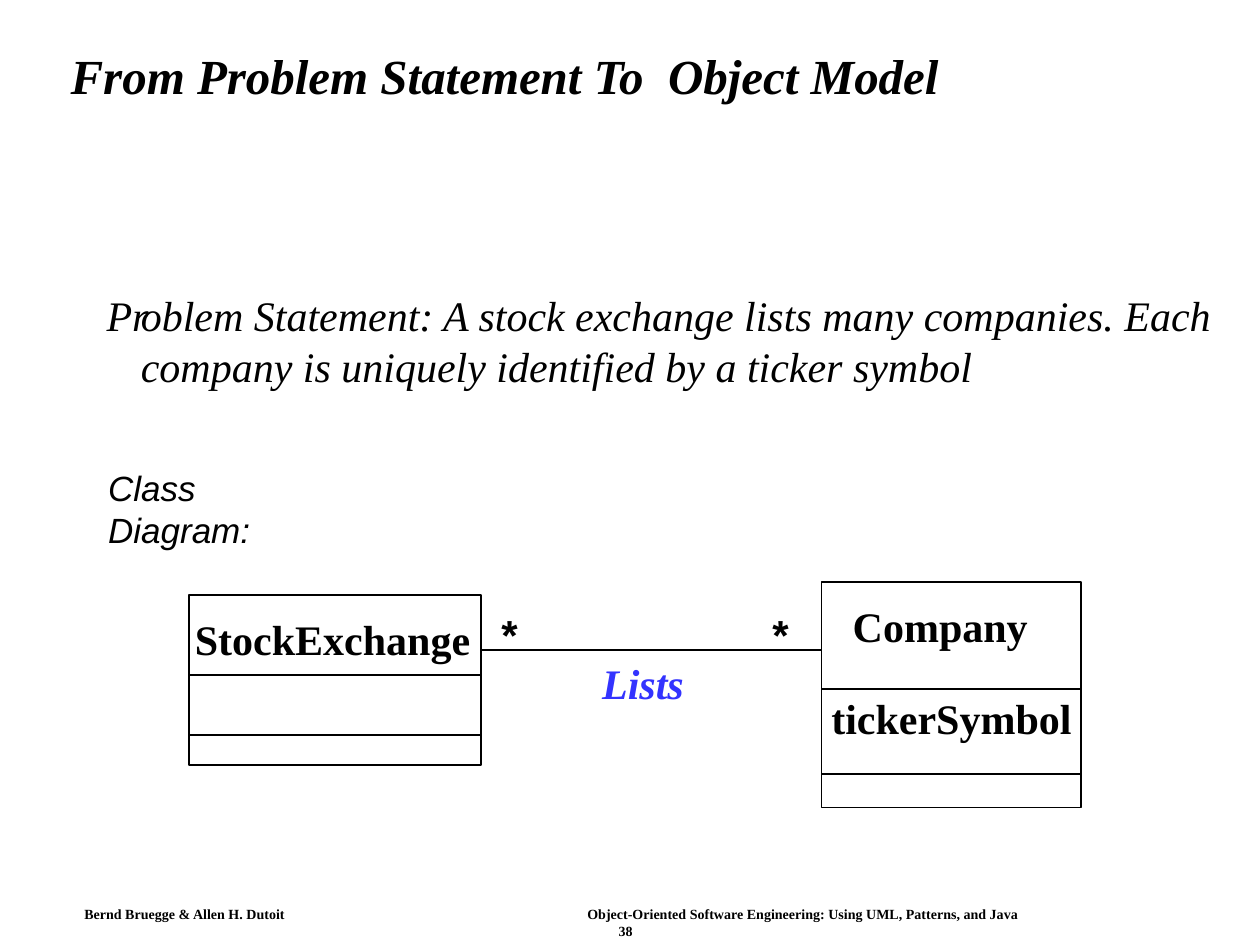
from lxml.etree import SubElement
from pptx import Presentation
from pptx.dml.color import RGBColor
from pptx.enum.shapes import MSO_CONNECTOR, MSO_SHAPE
from pptx.enum.text import MSO_ANCHOR, MSO_AUTO_SIZE, PP_ALIGN
from pptx.oxml.ns import qn
from pptx.util import Cm, Pt

COLORS = {"ink": "000000", "association": "3333FF"}
SERIF, SANS = "Times New Roman", "Arial"


def format_text(frame, color="ink", **font_format):
    for paragraph in frame.paragraphs:
        for run in paragraph.runs:
            run.font.color.rgb = RGBColor.from_string(COLORS[color])
            for name, value in font_format.items():
                setattr(run.font, name, value)


def add_line(slide, start_x, end_x, y):
    """Add a thin horizontal line without a shadow."""
    line = slide.shapes.add_connector(
        MSO_CONNECTOR.STRAIGHT, Cm(start_x), Cm(y), Cm(end_x), Cm(y))
    line.line.color.rgb = RGBColor.from_string(COLORS["ink"])
    line.line.width = Pt(1)
    SubElement(line._element.spPr, qn("a:effectLst"))


presentation = Presentation()
presentation.slide_width, presentation.slide_height = Cm(25.4), Cm(19.05)
slide = presentation.slides.add_slide(presentation.slide_layouts[5])

# Title
title = slide.shapes.title
title.left, title.top, title.width, title.height = Cm(1.17), Cm(0.61), Cm(22.66), Cm(1.96)
title_frame = title.text_frame
title_frame.text = "From Problem Statement To  Object Model"
title_frame.vertical_anchor = MSO_ANCHOR.MIDDLE
title_frame.auto_size = MSO_AUTO_SIZE.NONE
title_frame.paragraphs[0].alignment = PP_ALIGN.LEFT
title_frame.paragraphs[0].line_spacing = 0.9
format_text(title_frame, name=SERIF, size=Pt(28), bold=True, italic=True)

# Classes: left, top, width, height, compartment divider heights
classes = [
    (3.81, 11.99, 5.89, 3.43, (13.61, 14.81)),
    (16.56, 11.73, 5.23, 4.55, (13.89, 15.6)),
]
for left, top, width, height, dividers in classes:
    box = slide.shapes.add_shape(
        MSO_SHAPE.RECTANGLE, Cm(left), Cm(top), Cm(width), Cm(height))
    box.shadow.inherit = False
    box.fill.background()
    box.line.color.rgb = RGBColor.from_string(COLORS["ink"])
    box.line.width = Pt(1)
    for divider_y in dividers:
        add_line(slide, left, left + width, divider_y)

# Association between the right side of one class and the left side of the other
add_line(slide, 9.7, 16.56, 13.11)

# Labels: text, left, top, width, height, format
statement = {"name": SERIF, "size": Pt(24), "italic": True}
class_name = {"name": SERIF, "size": Pt(24), "bold": True}
multiplicity = {"name": SANS, "size": Pt(24), "bold": True}
labels = [
    ("Pr", 1.9, 5.72, 1.35, 1.27, statement),
    ("oblem Statement: A stock exchange lists many companies. Each\n"
     "company is uniquely identified by a ticker symbol", 2.59, 5.72, 22.33, 2.29, statement),
    ("Class Diagram:", 1.93, 9.27, 5.33, 1.09,
     {"name": SANS, "size": Pt(20), "italic": True}),
    ("StockExchange", 3.68, 12.24, 6.05, 1.27, class_name),
    ("Company", 16.94, 11.99, 4.04, 1.27, class_name),
    ("tickerSymbol", 16.51, 13.84, 5.36, 1.27, class_name),
    ("Lists", 11.89, 13.13, 2.36, 1.27,
     {**class_name, "italic": True, "color": "association"}),
    ("*", 9.86, 12.14, 0.84, 1.27, multiplicity),
    ("*", 15.32, 12.14, 0.84, 1.27, multiplicity),
]
for text, left, top, width, height, text_format in labels:
    label = slide.shapes.add_textbox(Cm(left), Cm(top), Cm(width), Cm(height))
    label.text_frame.word_wrap = False
    label.text_frame.auto_size = MSO_AUTO_SIZE.SHAPE_TO_FIT_TEXT
    label.text_frame.text = text
    format_text(label.text_frame, **text_format)

# Footer: authors, book title at a tab stop, page number indented below
footer = slide.shapes.add_textbox(Cm(1.5), Cm(18.16), Cm(21.97), Cm(0.85))
footer_frame = footer.text_frame
footer_frame.word_wrap = True
footer_frame.margin_left = footer_frame.margin_right = Cm(0.2)
footer_frame.margin_top = footer_frame.margin_bottom = Cm(0.1)
footer_frame.text = (
    "Bernd Bruegge & Allen H. Dutoit\t"
    "Object-Oriented Software Engineering: Using UML, Patterns, and Java\n38")
credit, page_number = footer_frame.paragraphs
tab_list = SubElement(credit._p.get_or_add_pPr(), qn("a:tabLst"))
SubElement(tab_list, qn("a:tab"), pos=str(Cm(10.14)), algn="l")
page_number._p.get_or_add_pPr().set("marL", str(Cm(10.77)))
format_text(footer_frame, name=SERIF, size=Pt(8), bold=True)

presentation.save("out.pptx")
